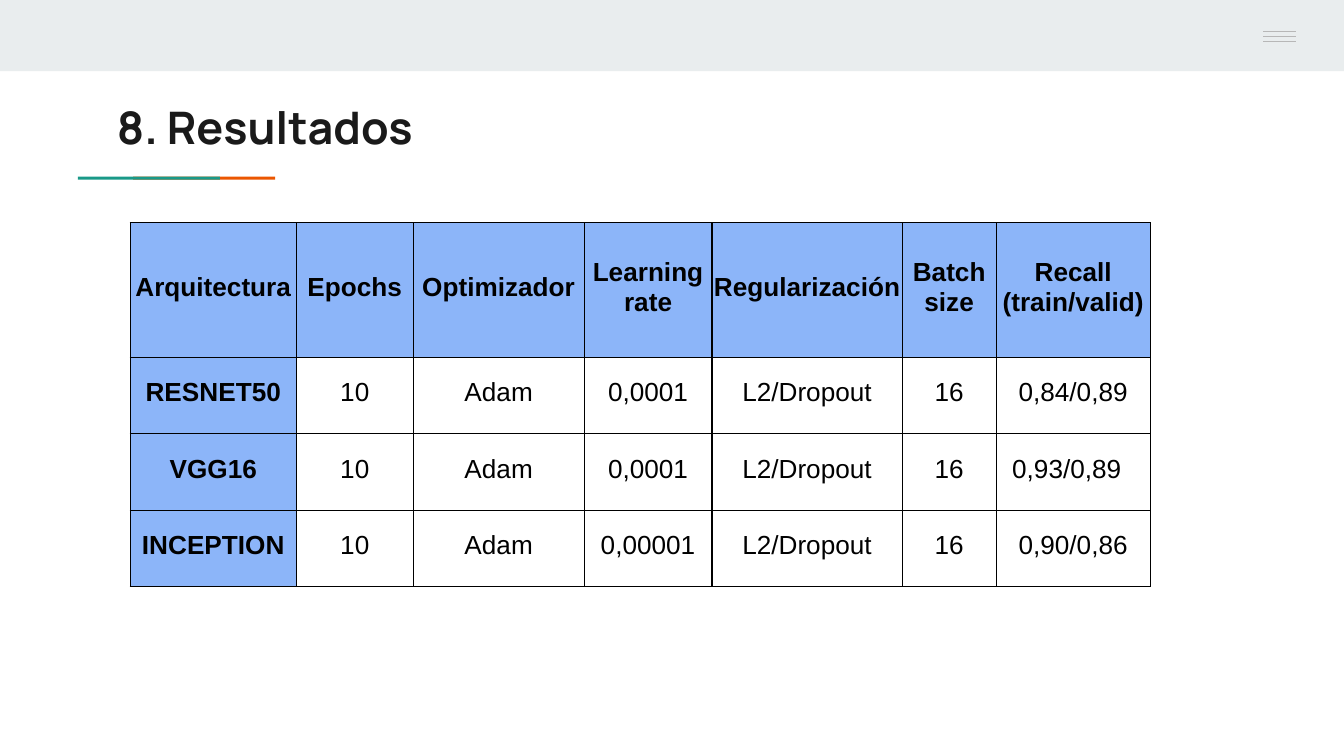
from lxml import etree
from pptx import Presentation
from pptx import oxml
from pptx.dml import color
from pptx.enum import shapes, text
from pptx.util import Pt

HEAD = ["Arquitectura", "Epochs", "Optimizador", "Learning rate",
        "Regularización", "Batch size", "Recall (train/valid)"]
ROWS = [
    ["RESNET50", "10", "Adam", "0,0001", "L2/Dropout", "16", "0,84/0,89"],
    ["VGG16", "10", "Adam", "0,0001", "L2/Dropout", "16", "0,93/0,89"],
    ["INCEPTION", "10", "Adam", "0,00001", "L2/Dropout", "16", "0,90/0,86"],
]
WIDTHS = [89, 62.6, 91.6, 68.5, 101.9, 50.4, 82.5]
HEIGHTS = [72, 41, 41, 41]
INDENT = {(2, 6): 7.8}
BAND, BLUE, BLACK = "E9EDEE", "8CB5F9", "000000"


def rgb(code):
    return color.RGBColor.from_string(code)


def apply(obj, vals):
    for key, val in vals.items():
        setattr(obj, key, val)


def style(font, size, name, tint, bold):
    apply(font, {"size": Pt(size), "name": name, "bold": bold})
    font.color.rgb = rgb(tint)


def block(slide, box, tint):
    shape = slide.shapes.add_shape(shapes.MSO_SHAPE.RECTANGLE, *map(Pt, box))
    shape.shadow.inherit = False
    shape.fill.solid()
    shape.fill.fore_color.rgb = rgb(tint)
    shape.line.fill.background()


def burger(slide, box):
    left, top, width, height = box
    for i in range(3):
        y = top + i * height / 2
        ends = map(Pt, (left, y, left + width, y))
        line = slide.shapes.add_connector(shapes.MSO_CONNECTOR.STRAIGHT, *ends)
        line.line.color.rgb = rgb("B7B7B7")
        line.line.width = Pt(0.75)
        etree.SubElement(line._element.spPr, oxml.ns.qn("a:effectLst"))


def banner(slide, box):
    left, top, width, height = box
    block(slide, box, BAND)
    block(slide, (left + width - 67.7, top, 67.7, 36), BAND)
    burger(slide, (left + width - 43.2, top + 16.9, 17.3, 5.3))


def accent(slide, box):
    left, top, width, height = box
    part = width * 0.72
    block(slide, (left + width - part, top, part, height), "EB5600")
    block(slide, (left, top, part, height), "1A9988")


def title(slide, box):
    frame = slide.shapes.add_textbox(*map(Pt, box)).text_frame
    apply(frame, {"word_wrap": True, "vertical_anchor": text.MSO_ANCHOR.TOP,
                  "margin_left": Pt(7.2), "margin_right": Pt(7.2),
                  "margin_top": Pt(7.2), "margin_bottom": Pt(7.2)})
    run = frame.paragraphs[0].add_run()
    run.text = "8. Resultados"
    style(run.font, 24, "Manrope", "1A1A1A", True)


def border(cell):
    props = cell._tc.get_or_add_tcPr()
    for i, side in enumerate(("lnL", "lnR", "lnT", "lnB")):
        props.insert(i, oxml.parse_xml(
            f'<a:{side} {oxml.ns.nsdecls("a")} w="{Pt(0.75)}"><a:solidFill>'
            f'<a:srgbClr val="{BLACK}"/></a:solidFill></a:{side}>'))


def fill(cell, word, bold, indent):
    apply(cell, {"vertical_anchor": text.MSO_ANCHOR.MIDDLE,
                 "margin_left": Pt(0.75), "margin_right": Pt(0.75),
                 "margin_top": Pt(0.75), "margin_bottom": Pt(3.6)})
    para = cell.text_frame.paragraphs[0]
    para.alignment = text.PP_ALIGN.CENTER
    if indent:
        para.alignment = text.PP_ALIGN.LEFT
        para._p.get_or_add_pPr().set("marL", str(Pt(indent)))
    run = para.add_run()
    run.text = word
    style(run.font, 14, "Arial", BLACK, bold)
    if bold:
        cell.fill.solid()
        cell.fill.fore_color.rgb = rgb(BLUE)
    else:
        cell.fill.background()
    border(cell)


def results(slide, box):
    data = [HEAD] + ROWS
    frame = slide.shapes.add_table(len(data), len(HEAD), *map(Pt, box))
    table = frame.table
    apply(table, {"first_row": False, "horz_banding": False})
    for col, width in zip(table.columns, WIDTHS):
        col.width = Pt(width)
    for row, height in zip(table.rows, HEIGHTS):
        row.height = Pt(height)
    for r, words in enumerate(data):
        for c, word in enumerate(words):
            fill(table.cell(r, c), word, r == 0 or c == 0, INDENT.get((r, c)))


def main():
    deck = Presentation()
    apply(deck, {"slide_width": Pt(720), "slide_height": Pt(405)})
    slide = deck.slides.add_slide(deck.slide_layouts[6])
    banner(slide, (0, 0, 720, 38.2))
    accent(slide, (41.8, 94.7, 105.6, 1.6))
    title(slide, (55.6, 46.1, 620, 38.9))
    results(slide, (69.8, 119.4, sum(WIDTHS), sum(HEIGHTS)))
    deck.save("out.pptx")


if __name__ == "__main__":
    main()
